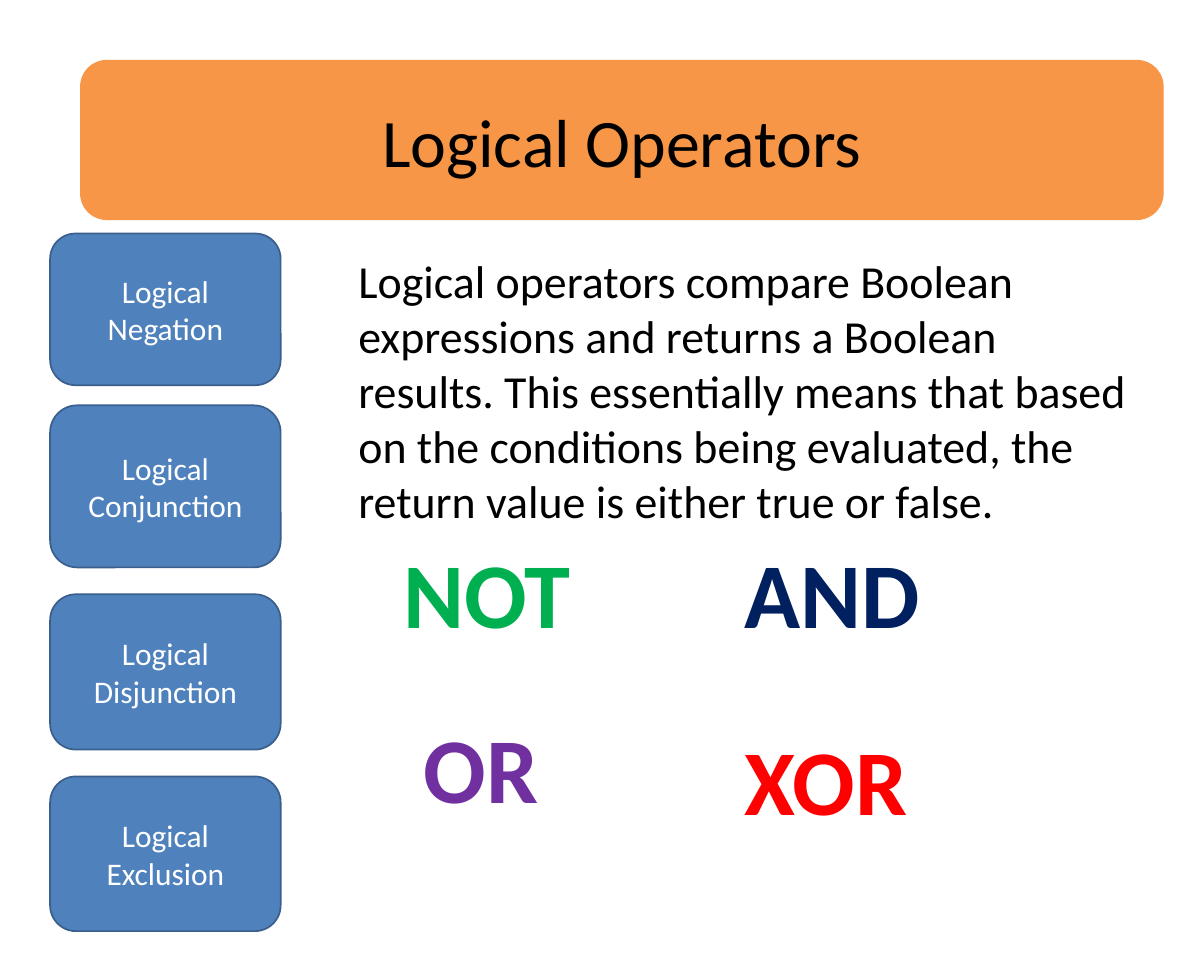
import pptx
import pptx.util
import pptx.dml.color
import pptx.enum.shapes
import pptx.enum.text

RGBColor = pptx.dml.color.RGBColor
PP_ALIGN = pptx.enum.text.PP_ALIGN
MSO_ANCHOR = pptx.enum.text.MSO_ANCHOR

WIDTH, HEIGHT = pptx.util.Inches(19.69), pptx.util.Inches(15.75)
COL, ROW = WIDTH / 100, HEIGHT / 100

BLACK = RGBColor(0x00, 0x00, 0x00)
WHITE = RGBColor(0xFF, 0xFF, 0xFF)
ORANGE = RGBColor(0xF7, 0x96, 0x46)
BLUE = RGBColor(0x4F, 0x81, 0xBD)
EDGE = RGBColor(0x3A, 0x5F, 0x8C)
GREEN = RGBColor(0x00, 0xB0, 0x50)
NAVY = RGBColor(0x00, 0x20, 0x60)
PURPLE = RGBColor(0x70, 0x30, 0xA0)
RED = RGBColor(0xFF, 0x00, 0x00)

BUTTONS = [
    ("Logical Negation", 0, 15.75),
    ("Logical Conjunction", 17.84, 16.83),
    ("Logical Disjunction", 37.46, 16.13),
    ("Logical Exclusion", 56.38, 16.06),
]
OPERATORS = [
    ("NOT", GREEN, 0, 0, 17.52),
    ("AND", NAVY, 28.34, 0, 20.01),
    ("OR", PURPLE, 1.68, 18.16, 14.98),
    ("XOR", RED, 28.34, 19.37, 18.33),
]
DEFINITION = (
    "Logical operators compare Boolean expressions and returns a Boolean results. "
    "This essentially means that based on the conditions being evaluated, "
    "the return value is either true or false."
)


def to_emu(box):
    """Turn a box in grid columns and rows into slide lengths."""
    x, y, w, h = box
    return round(x * COL), round(y * ROW), round(w * COL), round(h * ROW)


def write(sp, text, size, color, bold=False, align=PP_ALIGN.LEFT, anchor=MSO_ANCHOR.TOP):
    """Put one formatted paragraph in a shape."""
    tf = sp.text_frame
    tf.word_wrap = True
    tf.vertical_anchor = anchor
    tf.margin_left = tf.margin_right = pptx.util.Inches(0.2)
    tf.margin_top = tf.margin_bottom = pptx.util.Inches(0.1)
    p = tf.paragraphs[0]
    p.alignment = align
    r = p.add_run()
    r.text = text
    r.font.name = "Calibri"
    r.font.size = pptx.util.Pt(size)
    r.font.bold = bold
    r.font.color.rgb = color


def add_panel(s, box, text, size, color, fill, line=None):
    """Add a rounded panel with centred text."""
    kind = pptx.enum.shapes.MSO_SHAPE.ROUNDED_RECTANGLE
    sp = s.shapes.add_shape(kind, *to_emu(box))
    sp.shadow.inherit = False
    sp.fill.solid()
    sp.fill.fore_color.rgb = fill
    if line is None:
        sp.line.fill.background()
    else:
        sp.line.color.rgb = line
        sp.line.width = pptx.util.Pt(2)
    write(sp, text, size, color, align=PP_ALIGN.CENTER, anchor=MSO_ANCHOR.MIDDLE)


def add_title(s, box):
    """Draw the title banner."""
    add_panel(s, box, "Logical Operators", 80, BLACK, ORANGE)


def add_sidebar(s, box):
    """Stack the operator buttons down the box."""
    x, y, w, h = box
    for text, top, height in BUTTONS:
        add_panel(s, (x, y + top, w, height), text, 37, WHITE, BLUE, EDGE)


def add_definition(s, box):
    """Write the definition of logical operators."""
    write(s.shapes.add_textbox(*to_emu(box)), DEFINITION, 54, BLACK)


def add_operators(s, box):
    """Scatter the operator keywords over the box."""
    x, y, w, h = box
    for text, color, left, top, width in OPERATORS:
        sp = s.shapes.add_textbox(*to_emu((x + left, y + top, width, 0.4 * h)))
        write(sp, text, 109, color, bold=True)


def main():
    """Build and save the slide."""
    prs = pptx.Presentation()
    prs.slide_width, prs.slide_height = WIDTH, HEIGHT
    s = prs.slides.add_slide(prs.slide_layouts[6])
    add_title(s, (6.65, 6.22, 90, 16.63))
    add_sidebar(s, (4.16, 24.25, 19.15, 72.44))
    add_definition(s, (28.75, 25.59, 66.99, 30.16))
    add_operators(s, (32.5, 55.05, 48.35, 32.38))
    prs.save("out.pptx")


if __name__ == "__main__":
    main()
